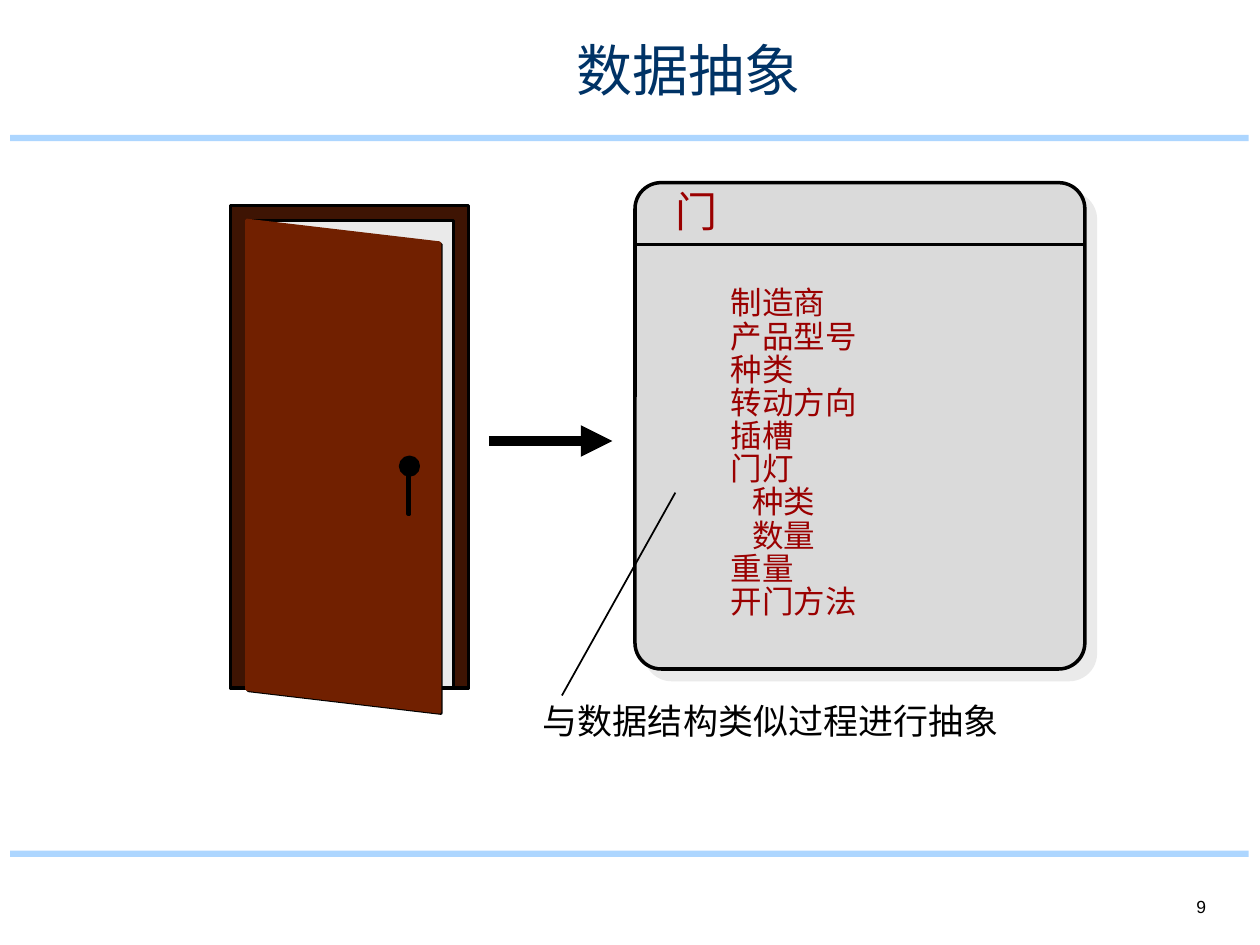
from dataclasses import dataclass

from lxml.etree import SubElement
from pptx import Presentation
from pptx.dml.color import RGBColor
from pptx.enum.shapes import MSO_CONNECTOR, MSO_SHAPE as Kind
from pptx.enum.text import MSO_ANCHOR as Anchor, PP_ALIGN as Align
from pptx.oxml import parse_xml
from pptx.oxml.ns import nsdecls, qn
from pptx.util import Inches, Pt

BLACK = RGBColor(0x00, 0x00, 0x00)
NAVY = RGBColor(0x00, 0x33, 0x66)
SKY = RGBColor(0xAD, 0xD6, 0xFF)
RED = RGBColor(0x9A, 0x00, 0x00)
GREY = RGBColor(0xDA, 0xDA, 0xDA)
PALE = RGBColor(0xEA, 0xEA, 0xEA)
WOOD = RGBColor(0x71, 0x20, 0x00)
DARK = RGBColor(0x3E, 0x14, 0x03)

Point = tuple[float, float]
Color = RGBColor | None


@dataclass
class Form:
    kind: Kind
    left: float
    top: float
    width: float
    height: float
    fill: Color
    line: Color = None


@dataclass
class Label:
    text: str
    left: float
    top: float
    width: float
    height: float
    size: int
    color: RGBColor
    indent: float = 0
    align: Align = Align.LEFT
    anchor: Anchor = Anchor.TOP
    wrap: bool = False


@dataclass
class Line:
    start: Point
    end: Point
    width: float
    arrow: bool = False


@dataclass
class Row:
    text: str
    indent: float = 0


def paint(shape, fill: Color, line: Color) -> None:
    shape.shadow.inherit = False
    if fill is None:
        shape.fill.background()
    else:
        shape.fill.solid()
        shape.fill.fore_color.rgb = fill
    if line is None:
        shape.line.fill.background()
    else:
        shape.line.color.rgb = line
        shape.line.width = Pt(2)


def draw_form(slide, form: Form):
    box = map(Inches, (form.left, form.top, form.width, form.height))
    shape = slide.shapes.add_shape(form.kind, *box)
    paint(shape, form.fill, form.line)
    return shape


def draw_leaf(slide, left: float, top: float, fill: Color, line: Color) -> None:
    """Draw the slanted, half-open door leaf."""
    width, height, slant = 1.53, 3.72, 0.18
    right = left + width
    points = [(right, top + slant), (right, top + slant + height),
              (left, top + height)]
    pen = slide.shapes.build_freeform(Inches(left), Inches(top))
    pen.add_line_segments([(Inches(x), Inches(y)) for x, y in points])
    paint(pen.convert_to_shape(), fill, line)


def draw_label(slide, label: Label) -> None:
    box = map(Inches, (label.left, label.top, label.width, label.height))
    frame = slide.shapes.add_textbox(*box).text_frame
    frame.word_wrap = label.wrap
    frame.vertical_anchor = label.anchor
    frame.margin_left = Inches(0.1 + label.indent)
    para = frame.paragraphs[0]
    para.text = label.text
    para.alignment = label.align
    para.font.name = "Arial"
    para.font.size = Pt(label.size)
    para.font.color.rgb = label.color


def draw_line(slide, line: Line) -> None:
    ends = map(Inches, (*line.start, *line.end))
    link = slide.shapes.add_connector(MSO_CONNECTOR.STRAIGHT, *ends)
    link.line.color.rgb = BLACK
    link.line.width = Pt(line.width)
    if line.arrow:
        SubElement(link.line._get_or_add_ln(), qn("a:tailEnd"), type="triangle")
    SubElement(link._element.spPr, qn("a:effectLst"))


def add_shadow(shape, color: RGBColor) -> None:
    """Cast a hard shadow down and to the right."""
    props = shape._element.spPr
    props.remove(props.find(qn("a:effectLst")))
    props.append(parse_xml(
        f'<a:effectLst {nsdecls("a")}>'
        f'<a:outerShdw dist="{Pt(8.5)}" dir="2700000" algn="ctr" rotWithShape="0">'
        f'<a:srgbClr val="{color}"/></a:outerShdw></a:effectLst>'))


def draw_card(slide) -> None:
    card = draw_form(slide, Form(Kind.ROUNDED_RECTANGLE, 5.04, 1.45, 3.57, 3.86,
                                 GREY, BLACK))
    card.adjustments[0] = 0.058
    add_shadow(card, PALE)
    draw_line(slide, Line((5.04, 1.94), (8.6, 1.94), 2))
    draw_label(slide, Label("门", 5.26, 1.42, 0.54, 0.5, 24, RED))
    draw_line(slide, Line((5.36, 3.91), (4.46, 5.52), 1))
    draw_label(slide, Label("与数据结构类似过程进行抽象", 4.21, 5.5, 3.85, 0.43,
                            20, BLACK))
    rows = [Row("制造商"), Row("产品型号"), Row("种类"), Row("转动方向"),
            Row("插槽"), Row("门灯"), Row("种类", 0.17), Row("数量", 0.17),
            Row("重量"), Row("开门方法")]
    first, last = 2.2, 4.57
    step = (last - first) / (len(rows) - 1)
    for i, row in enumerate(rows):
        width = 0.2 + 0.25 * len(row.text) + row.indent
        draw_label(slide, Label(row.text, 5.7, first + i * step, width, 0.4,
                                18, RED, row.indent))


def draw_door(slide) -> None:
    draw_form(slide, Form(Kind.RECTANGLE, 1.83, 1.63, 1.89, 3.83, DARK, BLACK))
    draw_form(slide, Form(Kind.RECTANGLE, 1.96, 1.75, 1.64, 3.71, PALE, BLACK))
    draw_leaf(slide, 1.97, 1.76, None, BLACK)
    draw_leaf(slide, 1.96, 1.75, WOOD, WOOD)
    draw_form(slide, Form(Kind.OVAL, 3.18, 3.63, 0.14, 0.14, BLACK, BLACK))
    draw_form(slide, Form(Kind.RECTANGLE, 3.24, 3.75, 0.01, 0.33, BLACK, BLACK))


def main() -> None:
    deck = Presentation()
    deck.slide_width, deck.slide_height = Inches(10), Inches(7.5)
    slide = deck.slides.add_slide(deck.slide_layouts[6])
    for top in (1.07, 6.75):
        draw_form(slide, Form(Kind.RECTANGLE, 0.08, top, 9.83, 0.05, SKY))
    draw_label(slide, Label("9", 8.25, 6.83, 1.42, 0.5, 10, BLACK,
                            align=Align.RIGHT, anchor=Anchor.BOTTOM, wrap=True))
    draw_label(slide, Label("数据抽象", 3.34, 0.23, 4.25, 0.6, 32, NAVY,
                            align=Align.CENTER, wrap=True))
    draw_card(slide)
    draw_door(slide)
    draw_line(slide, Line((3.88, 3.5), (4.86, 3.5), 6, arrow=True))
    deck.save("out.pptx")


if __name__ == "__main__":
    main()
